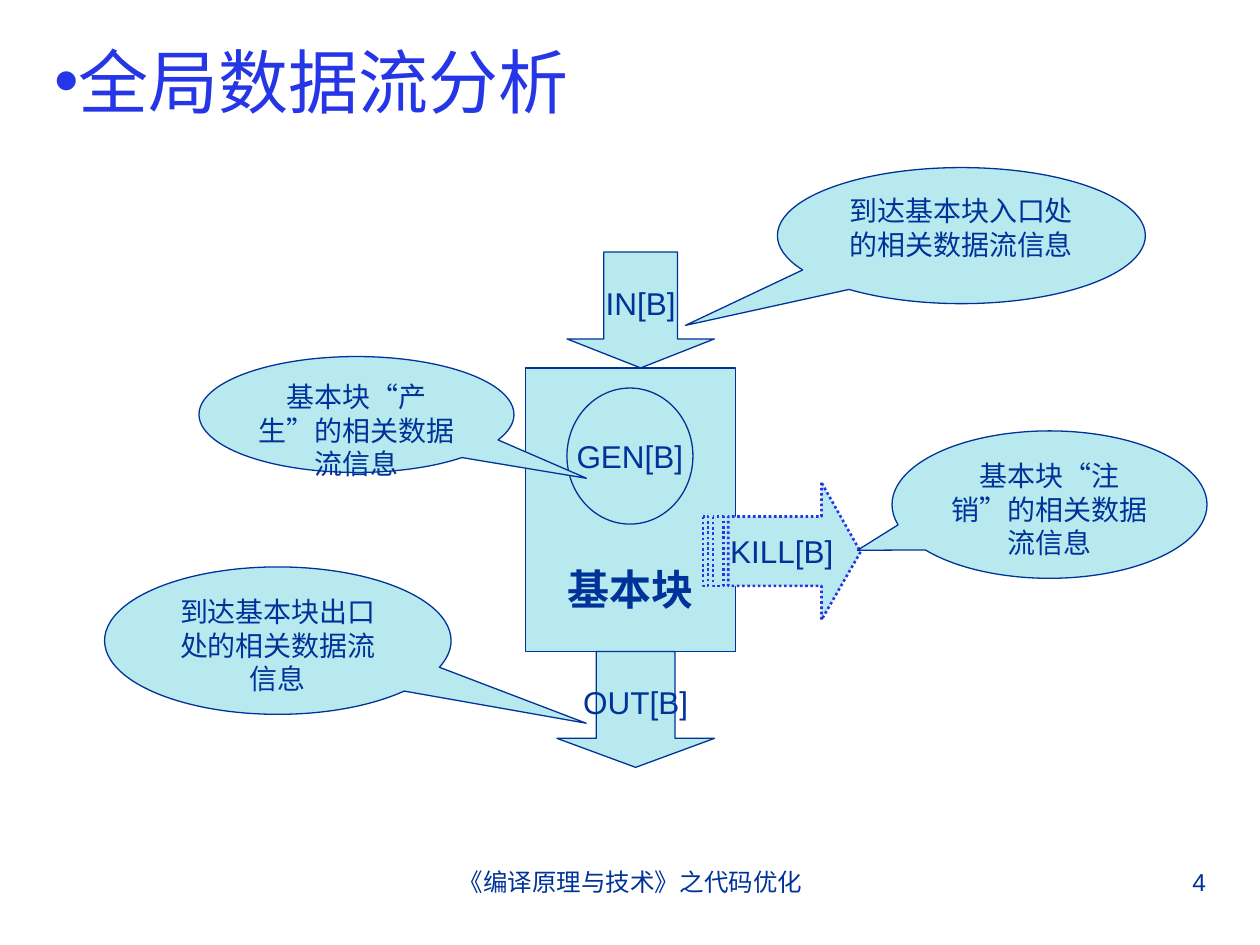
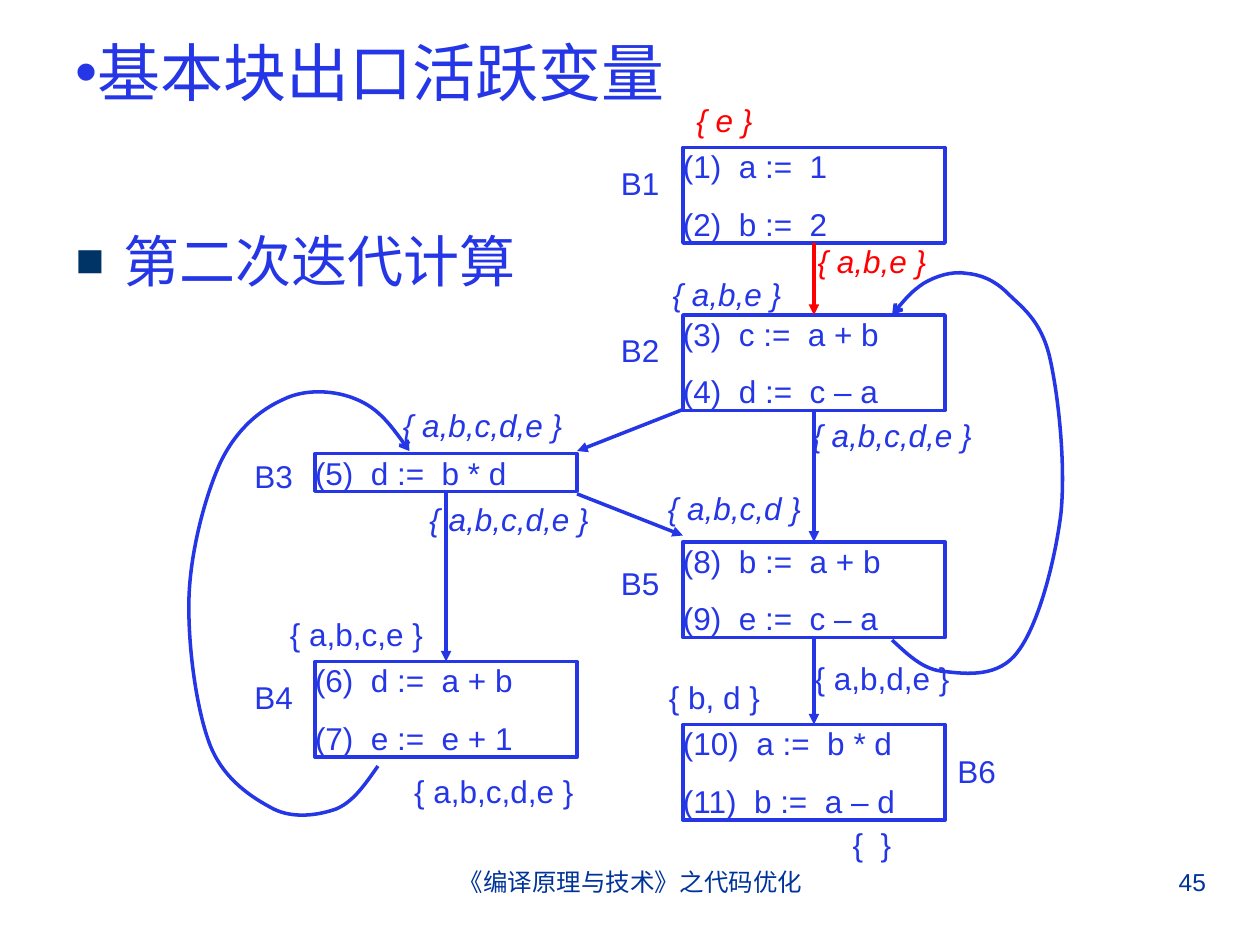
"""Build two slides on global data-flow analysis and live variables."""
from dataclasses import dataclass

from lxml import etree
from pptx import Presentation
from pptx.dml.color import RGBColor
from pptx.enum.dml import MSO_LINE
from pptx.enum.shapes import MSO_CONNECTOR, MSO_SHAPE
from pptx.enum.text import MSO_ANCHOR, MSO_AUTO_SIZE, PP_ALIGN
from pptx.oxml.ns import qn
from pptx.util import Inches, Pt

LEFT, CENTER, RIGHT = PP_ALIGN.LEFT, PP_ALIGN.CENTER, PP_ALIGN.RIGHT
TOP, MIDDLE, BOTTOM = MSO_ANCHOR.TOP, MSO_ANCHOR.MIDDLE, MSO_ANCHOR.BOTTOM
RECTANGLE, ELLIPSE = MSO_SHAPE.RECTANGLE, MSO_SHAPE.OVAL
DOWN_ARROW, CALLOUT = MSO_SHAPE.DOWN_ARROW, MSO_SHAPE.OVAL_CALLOUT
STRAIGHT, DOTTED = MSO_CONNECTOR.STRAIGHT, MSO_LINE.ROUND_DOT
TOP_SIDE, BOTTOM_SIDE = 0, 2


@dataclass(frozen=True)
class Theme:
    """Colours, type sizes and line widths shared by the slides."""
    font: str = "Arial"
    navy: str = "003399"
    blue: str = "2436E6"
    square: str = "003366"
    pale: str = "B8E9EE"
    red: str = "FF0000"
    title: int = 40
    long_title: int = 36
    body: int = 32
    block: int = 24
    label: int = 18
    note: int = 16
    footer: int = 14
    thin: float = 0.75
    dotted: float = 1.5
    thick: float = 2
    code_gap: float = 11.2


THEME = Theme()


def write(frame, text, size=THEME.label, color=THEME.blue, align=LEFT,
          anchor=TOP, bold=False, italic=False, wrap=True, gap=0, bullet=None):
    """Fill a text frame, one paragraph per line of text."""
    frame.auto_size = MSO_AUTO_SIZE.NONE
    frame.word_wrap = wrap
    frame.vertical_anchor = anchor
    frame.text = text
    for index, paragraph in enumerate(frame.paragraphs):
        paragraph.alignment = align
        paragraph.space_before = Pt(gap if index else 0)
        if bullet:
            add_bullet(paragraph, *bullet)
        for run in paragraph.runs:
            run.font.name = THEME.font
            run.font.size = Pt(size)
            run.font.bold = bold
            run.font.italic = italic
            run.font.color.rgb = RGBColor.from_string(color)


def add_bullet(paragraph, character, color, percent, indent):
    """Give a paragraph a coloured bullet and a hanging indent."""
    properties = paragraph._p.get_or_add_pPr()
    properties.set("marL", str(Inches(indent)))
    properties.set("indent", str(-Inches(indent)))
    bullet_color = etree.SubElement(properties, qn("a:buClr"))
    etree.SubElement(bullet_color, qn("a:srgbClr"), val=color)
    etree.SubElement(properties, qn("a:buSzPct"), val=str(percent * 1000))
    etree.SubElement(properties, qn("a:buFont"), typeface=THEME.font)
    etree.SubElement(properties, qn("a:buChar"), char=character)


def style_line(shape, color, width, dash=None, head=None):
    """Set the outline and an optional arrowhead at its end."""
    shape.line.color.rgb = RGBColor.from_string(color)
    shape.line.width = Pt(width)
    if dash:
        shape.line.dash_style = dash
    if head:
        outline = shape._element.spPr.find(qn("a:ln"))
        etree.SubElement(outline, qn("a:tailEnd"), type=head)


class Deck:
    """Hold the theme, the presentation and the current slide."""

    def __init__(self, theme):
        self.theme = theme
        self.presentation = Presentation()
        self.presentation.slide_width = Inches(10)
        self.presentation.slide_height = Inches(7.5)
        self.slide = None

    def start(self, layout, title, number, place, size):
        """Add a slide with its title, footer and number."""
        layouts = self.presentation.slide_layouts
        self.slide = self.presentation.slides.add_slide(layouts.get_by_name(layout))
        self.fill_placeholder(self.slide.shapes.title, title, place, size=size,
                              anchor=MIDDLE, bullet=("•", self.theme.blue, 100, 0))
        style = {"size": self.theme.footer, "color": self.theme.navy}
        self.text("《编译原理与技术》之代码优化", 3.42, 6.83, 3.17, 0.52,
                  align=CENTER, **style)
        self.text(number, 7.17, 6.83, 2.5, 0.52, align=RIGHT, **style)

    def fill_placeholder(self, placeholder, text, place, **style):
        """Move a placeholder and write in it."""
        (placeholder.left, placeholder.top,
         placeholder.width, placeholder.height) = map(Inches, place)
        write(placeholder.text_frame, text, **style)

    def text(self, text, left, top, width, height=0.4, **style):
        """Add a text box."""
        box = self.slide.shapes.add_textbox(*map(Inches, (left, top, width, height)))
        write(box.text_frame, text, **style)

    def shape(self, kind, text, place, adjustments=(), **style):
        """Add a pale preset shape with navy text."""
        shape = self.slide.shapes.add_shape(kind, *map(Inches, place))
        for index, value in enumerate(adjustments):
            shape.adjustments[index] = value
        self.paint(shape, self.theme.navy, self.theme.thin)
        style = {"align": CENTER, "anchor": MIDDLE, "wrap": False, **style}
        write(shape.text_frame, text, color=self.theme.navy, **style)
        return shape

    def paint(self, shape, color, width, dash=None):
        """Fill a shape with the pale colour and outline it."""
        shape.shadow.inherit = False
        shape.fill.solid()
        shape.fill.fore_color.rgb = RGBColor.from_string(self.theme.pale)
        style_line(shape, color, width, dash)

    def callout(self, text, place, pointer):
        """Add an elliptical callout whose tip is given by the pointer."""
        self.shape(CALLOUT, text, place, pointer, size=self.theme.note,
                   anchor=TOP, wrap=True)

    def code_block(self, code, left, top, height):
        """Add an outlined box of three-address code."""
        box = self.slide.shapes.add_shape(
            RECTANGLE, *map(Inches, (left, top, 2.08, height)))
        box.shadow.inherit = False
        box.fill.background()
        style_line(box, self.theme.blue, self.theme.thick)
        frame = box.text_frame
        frame.margin_left = frame.margin_right = 0
        frame.margin_top = frame.margin_bottom = 0
        write(frame, code, gap=self.theme.code_gap)
        return box

    def arrow(self, start=(0, 0), end=(0, 0), source=None, target=None, color=None):
        """Add an arrow between points, or from a block down to the next."""
        connector = self.slide.shapes.add_connector(
            STRAIGHT, *map(Inches, (*start, *end)))
        if source is not None:
            connector.begin_connect(source, BOTTOM_SIDE)
            connector.end_connect(target, TOP_SIDE)
        style_line(connector, color or self.theme.blue, self.theme.thick,
                   head="triangle")
        etree.SubElement(connector._element.spPr, qn("a:effectLst"))

    def outline(self, contours, close):
        """Build a freeform from one or more lists of points."""
        contours = [[(Inches(x), Inches(y)) for x, y in points] for points in contours]
        builder = self.slide.shapes.build_freeform(*contours[0][0])
        for index, points in enumerate(contours):
            if index:
                builder.move_to(*points[0])
            builder.add_line_segments(points[1:], close=close)
        shape = builder.convert_to_shape()
        shape.shadow.inherit = False
        return shape

    def curve(self, points):
        """Add a Bezier arrow from a start point and triples of points."""
        shape = self.outline([points], close=False)
        shape.fill.background()
        style_line(shape, self.theme.blue, self.theme.thick, head="arrow")
        segments = list(shape._element.iter(qn("a:lnTo")))
        for first in range(0, len(segments), 3):
            bezier = etree.Element(qn("a:cubicBezTo"))
            segments[first].addprevious(bezier)
            for segment in segments[first:first + 3]:
                bezier.append(segment[0])
                segment.getparent().remove(segment)


def build_data_flow(deck):
    """Show the information that enters, leaves and changes in a block."""
    theme = deck.theme
    deck.start("Title Only", "全局数据流分析", "4", (0.33, 0.25, 9.34, 0.78), theme.title)
    block = deck.shape(RECTANGLE, "基本块", (4.17, 2.92, 1.67, 2.25),
                       size=theme.block, bold=True, anchor=BOTTOM)
    block.text_frame.margin_bottom = Inches(0.3)
    deck.shape(DOWN_ARROW, "IN[B]", (4.5, 2, 1.17, 0.92), (0.5, 0.25))
    deck.shape(DOWN_ARROW, "OUT[B]", (4.42, 5.17, 1.25, 0.92), (0.5, 0.25))

    upper, lower = 4.1, 4.65
    arrow_body = [(6.52, 3.83), (6.52, upper), (5.78, upper), (5.78, lower),
                  (6.52, lower), (6.52, 4.92), (6.83, 4.38)]
    stripes = [[(left, upper), (left, lower), (right, lower), (right, upper)]
               for left, right in ((5.66, 5.74), (5.58, 5.62))]
    kill = deck.outline([arrow_body, *stripes], close=True)
    deck.paint(kill, theme.blue, theme.dotted, DOTTED)
    write(kill.text_frame, "KILL[B]", color=theme.navy, align=CENTER,
          anchor=MIDDLE, wrap=False)

    deck.shape(ELLIPSE, "GEN[B]", (4.5, 3.08, 1, 1.08))
    for text, place, pointer in (
            ("到达基本块入口处的相关数据流信息", (6.17, 1.33, 2.92, 1.08), (-0.75, 0.66)),
            ("到达基本块出口处的相关数据流信息", (0.83, 4.5, 2.75, 1.17), (0.89, 0.56)),
            ("基本块“产生”的相关数据流信息", (1.58, 2.83, 2.5, 0.92), (0.73, 0.55)),
            ("基本块“注销”的相关数据流信息", (7.08, 3.42, 2.5, 1.17), (-0.61, 0.31))):
        deck.callout(text, place, pointer)


def build_live_variables(deck):
    """Show the flow graph with the live variables of the second pass."""
    theme = deck.theme
    deck.start("Title and Content", "基本块出口活跃变量", "45", (0.5, 0.3, 9, 0.53),
               theme.long_title)
    deck.fill_placeholder(deck.slide.placeholders[1], "第二次迭代计算",
                          (0.5, 1.75, 9, 4.95), size=theme.body,
                          bullet=("■", theme.square, 85, 0.38))

    left_column, right_column = 2.5, 5.42
    blocks = {}
    for name, code, left, top, height, label_left, label_top in (
            ("B1", "(1)  a :=  1\n(2)  b :=  2", right_column, 1.17, 0.76, 4.83, 1.25),
            ("B2", "(3)  c :=  a + b\n(4)  d :=  c – a", right_column, 2.5, 0.76, 4.83, 2.58),
            ("B5", "(8)  b :=  a + b\n(9)  e :=  c – a", right_column, 4.3, 0.76, 4.83, 4.43),
            ("B3", "(5)  d :=  b * d", left_column, 3.6, 0.3, 1.92, 3.58),
            ("B4", "(6)  d :=  a + b\n(7)  e :=  e + 1", left_column, 5.25, 0.76, 1.92, 5.33),
            ("B6", "(10)  a :=  b * d\n(11)  b :=  a – d", right_column, 5.75, 0.76, 7.5, 5.92)):
        blocks[name] = deck.code_block(code, left, top, height)
        deck.text(name, label_left, label_top, 0.67)

    for source, target, color in (("B1", "B2", theme.red), ("B2", "B5", theme.blue),
                                  ("B5", "B6", theme.blue), ("B3", "B4", theme.blue)):
        deck.arrow(source=blocks[source], target=blocks[target], color=color)
    deck.arrow((5.42, 3.25), (4.58, 3.58))
    deck.arrow((4.58, 3.92), (5.42, 4.25))

    deck.curve([(3, 6.08), (2.9, 6.22), (2.81, 6.36), (2.67, 6.42),
                (2.53, 6.47), (2.33, 6.5), (2.17, 6.42),
                (2, 6.33), (1.78, 6.19), (1.67, 5.92),
                (1.56, 5.64), (1.49, 5.13), (1.5, 4.75),
                (1.51, 4.38), (1.63, 3.93), (1.75, 3.67),
                (1.88, 3.4), (2.07, 3.25), (2.25, 3.17),
                (2.43, 3.08), (2.67, 3.1), (2.83, 3.17),
                (3, 3.24), (3.13, 3.41), (3.25, 3.58)])
    deck.curve([(7.08, 5.08), (7.21, 5.2), (7.33, 5.32), (7.5, 5.33),
                (7.67, 5.35), (7.93, 5.38), (8.08, 5.17),
                (8.24, 4.96), (8.37, 4.47), (8.42, 4.08),
                (8.46, 3.69), (8.4, 3.13), (8.33, 2.83),
                (8.26, 2.54), (8.11, 2.44), (8, 2.33),
                (7.89, 2.22), (7.78, 2.18), (7.67, 2.17),
                (7.56, 2.15), (7.43, 2.19), (7.33, 2.25),
                (7.24, 2.31), (7.16, 2.4), (7.08, 2.5)])

    for variables, left, top, color, italic in (
            ("{  }", 6.17, 6.5, theme.blue, False),
            ("{ b, d }", 4.92, 5.33, theme.blue, False),
            ("{ a,b,d,e }", 6.25, 5.18, theme.blue, False),
            ("{ a,b,c,d }", 5.08, 3.83, theme.blue, True),
            ("{ a,b,c,d,e }", 3.17, 6.08, theme.blue, False),
            ("{ a,b,c,e }", 2.08, 4.83, theme.blue, False),
            ("{ a,b,c,d,e }", 3.29, 3.92, theme.blue, True),
            ("{ a,b,c,d,e }", 3.08, 3.17, theme.blue, True),
            ("{ a,b,c,d,e }", 6.33, 3.25, theme.blue, True),
            ("{ a,b,e }", 5.02, 2.13, theme.blue, True),
            ("{ a,b,e }", 6.17, 1.87, theme.red, True),
            ("{ e }", 5, 0.75, theme.red, True)):
        deck.text(variables, left, top, 1.5, color=color, align=CENTER, italic=italic)


def main():
    """Build and save the presentation."""
    deck = Deck(THEME)
    build_data_flow(deck)
    build_live_variables(deck)
    deck.presentation.save("out.pptx")


if __name__ == "__main__":
    main()
